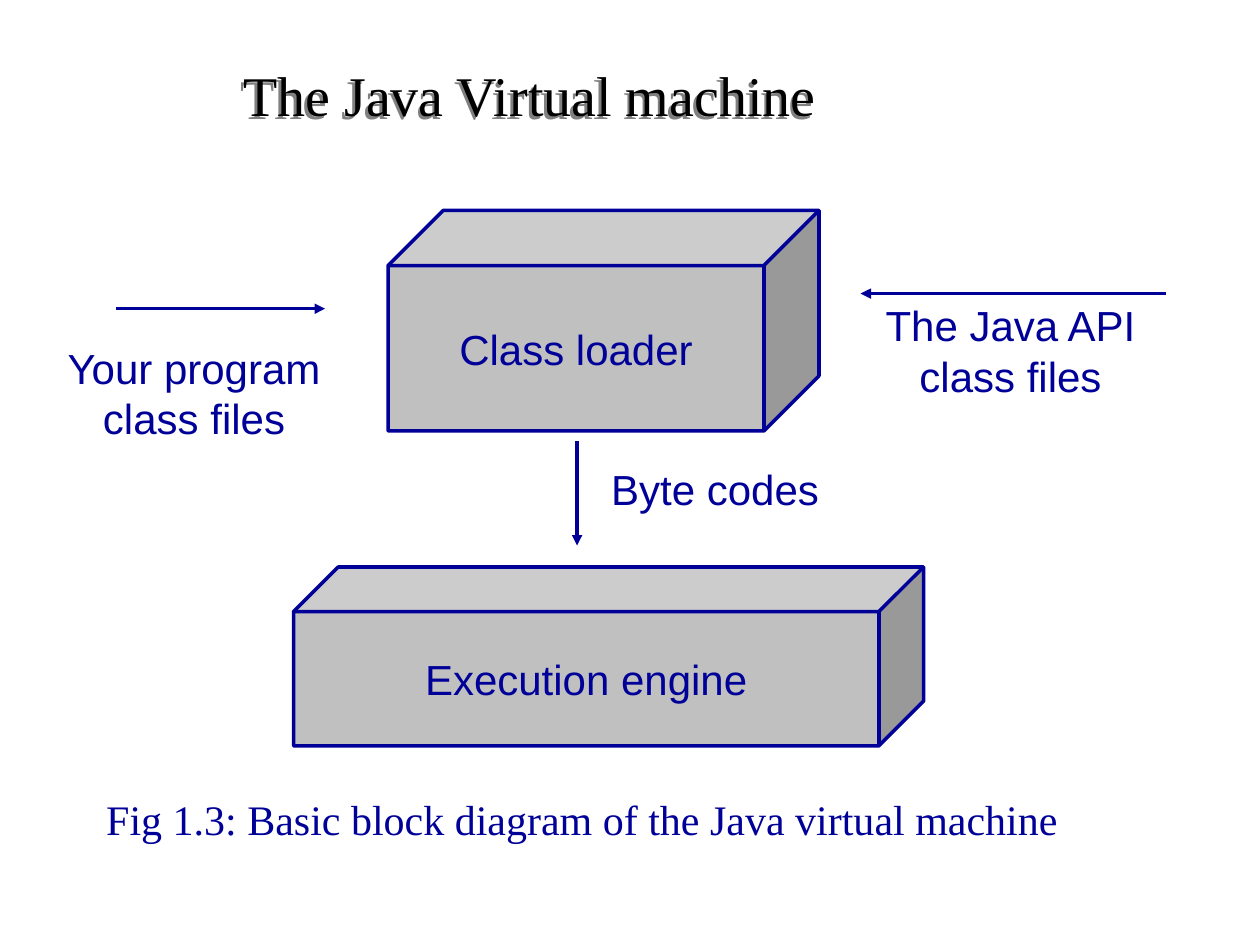
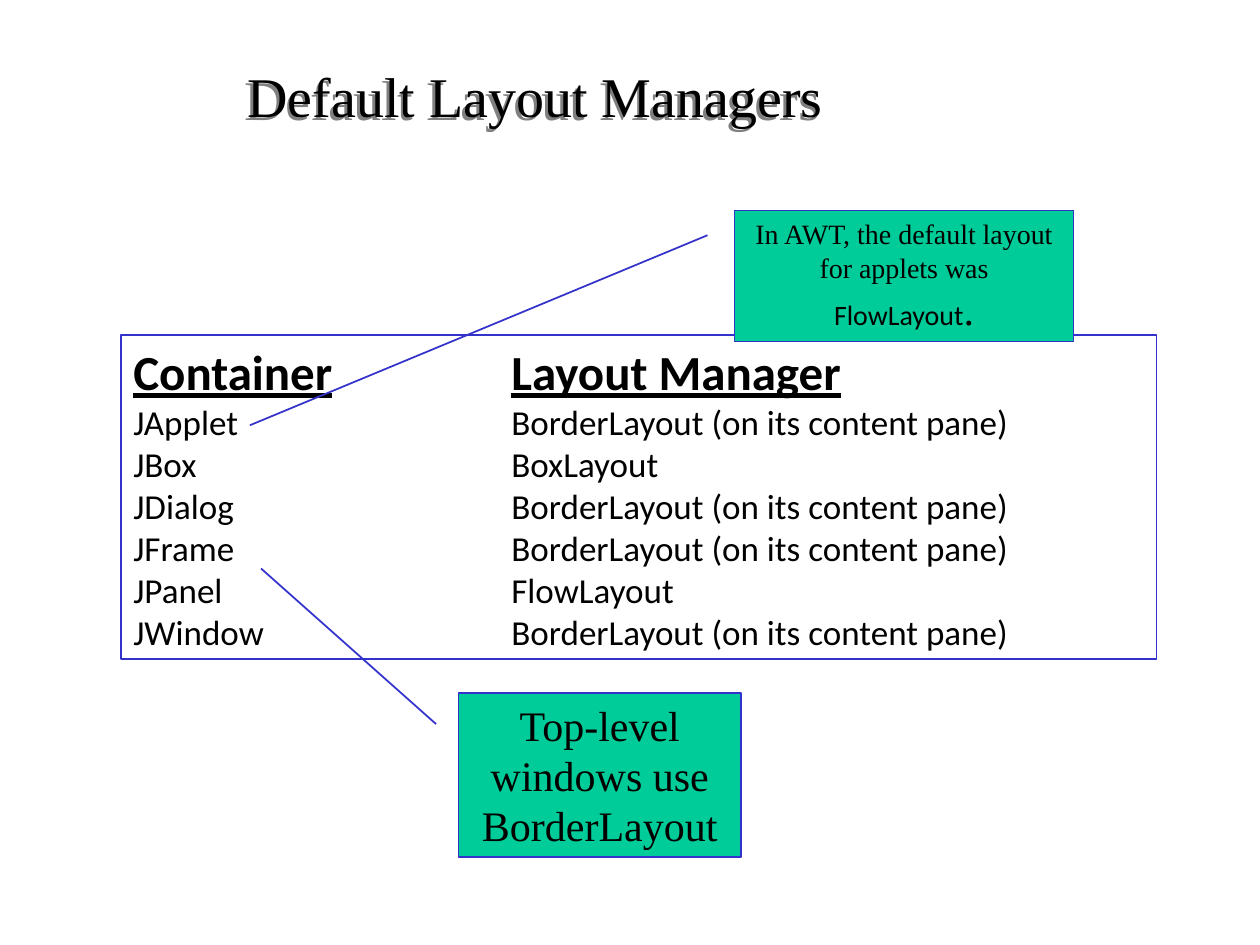
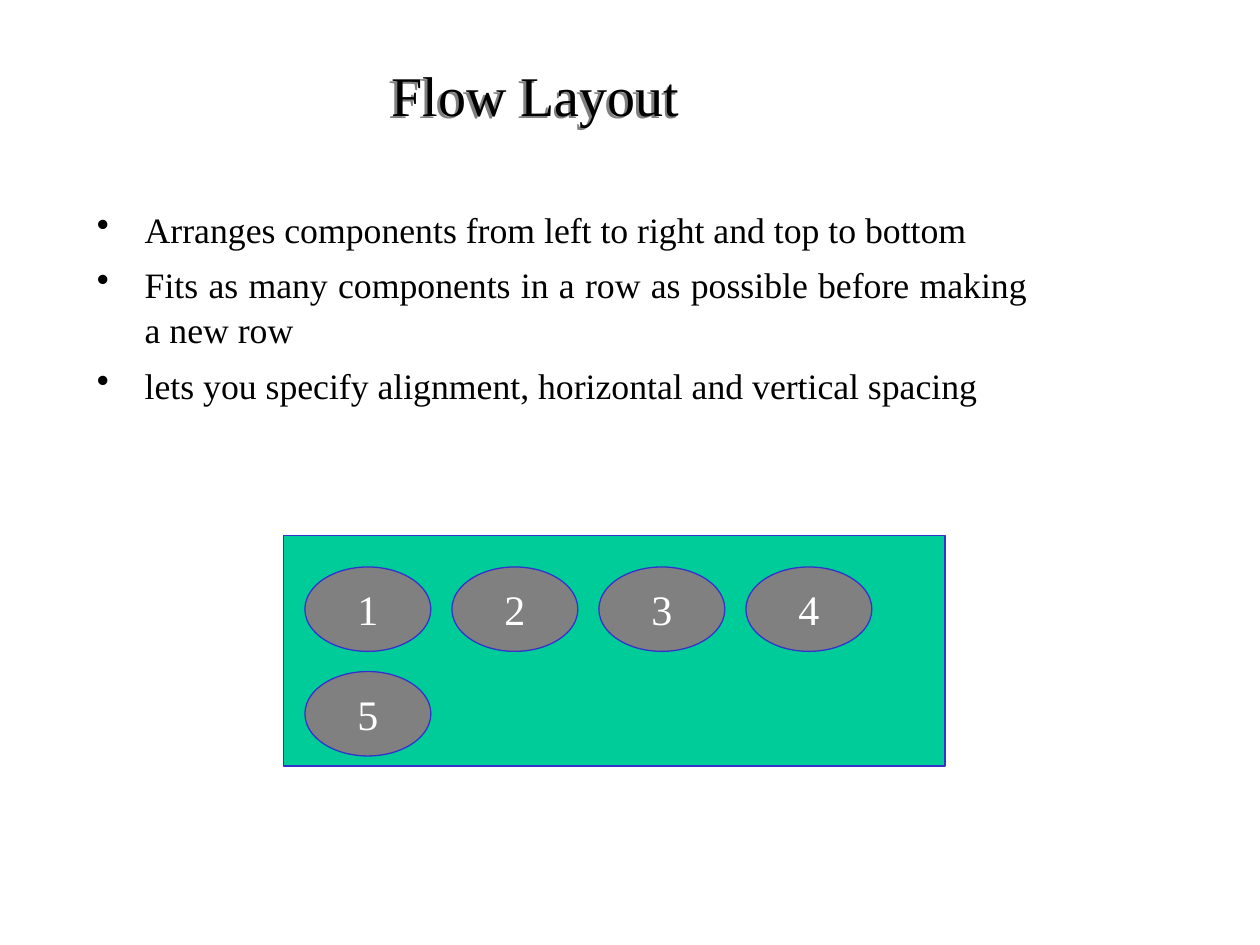
from dataclasses import dataclass

from lxml import etree
from pptx import Presentation
from pptx import util as u
from pptx.dml.color import RGBColor
from pptx.enum import shapes, text
from pptx.oxml.ns import qn

SERIF, SANS, BODY = "Times New Roman", "Arial", "Calibri"
BLACK, WHITE, NAVY, BLUE = "000000", "FFFFFF", "000099", "3333CC"
GREEN, SILVER, GRAY = "00CC99", "C0C0C0", "808080"
FORM = shapes.MSO_SHAPE
LEFT, MID, FULL = text.PP_ALIGN.LEFT, text.PP_ALIGN.CENTER, text.PP_ALIGN.JUSTIFY


@dataclass
class Box:
    left: float
    top: float
    width: float
    height: float

    def emu(self) -> list:
        return [u.Inches(n) for n in (self.left, self.top, self.width, self.height)]


@dataclass
class Block:
    label: str
    box: Box


@dataclass
class Arrow:
    x1: float
    y1: float
    x2: float
    y2: float


@dataclass
class Note:
    box: Box
    points: tuple


def tint(hue: str) -> RGBColor:
    return RGBColor.from_string(hue)


def child(node, tag: str, **attrs):
    return etree.SubElement(node, qn(tag), {k: str(v) for k, v in attrs.items()})


def say(frame, words: str, *, size=24, font=SERIF, hue=BLACK, bold=False,
        under=False, align=MID, more=False):
    para = frame.paragraphs[-1]
    if para.runs and not more:
        para = frame.add_paragraph()
    para.alignment = align
    run = para.add_run()
    run.text = words
    face = run.font
    face.size, face.name, face.bold, face.underline = u.Pt(size), font, bold, under
    face.color.rgb = tint(hue)
    return para


def shape(slide, form, box: Box, fill: str | None, line: str, width: float,
          anchor=text.MSO_ANCHOR.MIDDLE):
    item = slide.shapes.add_shape(form, *box.emu())
    item.shadow.inherit = False
    if fill:
        item.fill.solid()
        item.fill.fore_color.rgb = tint(fill)
    else:
        item.fill.background()
    item.line.color.rgb = tint(line)
    item.line.width = u.Pt(width)
    item.text_frame.word_wrap = True
    item.text_frame.vertical_anchor = anchor
    return item


def label(slide, box: Box, wrap=False):
    frame = slide.shapes.add_textbox(*box.emu()).text_frame
    frame.word_wrap = wrap
    return frame


def arrow(slide, spot: Arrow) -> None:
    ends = [u.Inches(n) for n in (spot.x1, spot.y1, spot.x2, spot.y2)]
    item = slide.shapes.add_connector(shapes.MSO_CONNECTOR.STRAIGHT, *ends)
    item.line.color.rgb = tint(NAVY)
    item.line.width = u.Pt(2)
    child(item.line._get_or_add_ln(), "a:tailEnd", type="triangle")
    child(item._element.spPr, "a:effectLst")


def start(deck, words: str, box: Box):
    slide = deck.slides.add_slide(deck.slide_layouts[5])
    title = slide.shapes.title
    title.left, title.top, title.width, title.height = box.emu()
    frame = title.text_frame
    frame.auto_size = text.MSO_AUTO_SIZE.NONE
    frame.vertical_anchor = text.MSO_ANCHOR.MIDDLE
    say(frame, words, size=32)
    glow = child(child(title._element.spPr, "a:effectLst"), "a:outerShdw",
                 dist=u.Inches(0.03), dir=135 * 60000, algn="ctr", rotWithShape=0)
    child(glow, "a:srgbClr", val=GRAY)
    return slide


def machine(deck) -> None:
    slide = start(deck, "The Java Virtual machine", Box(0.58, 0.25, 7.25, 1))
    for block in (Block("Class loader", Box(3.08, 1.67, 3.42, 1.75)),
                  Block("Execution engine", Box(2.33, 4.5, 5, 1.42))):
        cube = shape(slide, FORM.CUBE, block.box, SILVER, NAVY, 2)
        say(cube.text_frame, block.label, font=SANS, hue=NAVY)
    for spot in (Arrow(4.58, 3.5, 4.58, 4.33), Arrow(0.92, 2.45, 2.58, 2.45),
                 Arrow(9.25, 2.33, 6.83, 2.33)):
        arrow(slide, spot)
    for block in (Block("The Java API\nclass files", Box(6.92, 2.33, 2.2, 0.9)),
                  Block("Your program\nclass files", Box(0.42, 2.67, 2.24, 0.9)),
                  Block("Byte codes", Box(4.75, 3.63, 1.85, 0.5))):
        frame = label(slide, block.box)
        for row in block.label.split("\n"):
            say(frame, row, font=SANS, hue=NAVY)
    say(label(slide, Box(0.62, 6.25, 8, 0.5), wrap=True),
        "Fig 1.3: Basic block diagram of the Java virtual machine", hue=NAVY)


def callout(slide, note: Note):
    item = shape(slide, FORM.LINE_CALLOUT_1, note.box, GREEN, BLUE, 1,
                 text.MSO_ANCHOR.TOP)
    for i, value in enumerate(note.points):
        item.adjustments[i] = value
    return item.text_frame


def managers(deck) -> None:
    slide = start(deck, "Default Layout Managers", Box(0.5, 0.17, 7.5, 1.17))
    border = "BorderLayout (on its content pane)"
    rows = (("Container", "Layout Manager"), ("JApplet", border),
            ("JBox", "BoxLayout"), ("JDialog", border), ("JFrame", border),
            ("JPanel", "FlowLayout"), ("JWindow", border))
    panel = shape(slide, FORM.RECTANGLE, Box(0.96, 2.66, 8.22, 2.57), None, BLUE, 1,
                  text.MSO_ANCHOR.TOP)
    for i, row in enumerate(rows):
        head = i == 0
        para = say(panel.text_frame, "\t".join(row), size=28 if head else 20,
                   font=BODY, bold=head, under=head, align=LEFT)
        tabs = child(para._p.get_or_add_pPr(), "a:tabLst")
        child(tabs, "a:tab", pos=u.Inches(3), algn="l")
    frame = callout(slide, Note(Box(5.83, 1.67, 2.69, 1.04),
                                (0.19, -0.08, 1.64, -1.43)))
    say(frame, "In AWT, the default layout for applets was ", size=16)
    say(frame, "FlowLayout", size=16, font=BODY, more=True)
    say(frame, ".", more=True)
    frame = callout(slide, Note(Box(3.64, 5.5, 2.24, 1.3),
                                (0.19, -0.08, -0.76, -0.7)))
    say(frame, "Top-level windows use BorderLayout")


def flow(deck) -> None:
    slide = start(deck, "Flow Layout", Box(0.5, 0.24, 7.5, 1.01))
    frame = label(slide, Box(0.67, 1.58, 7.58, 1.7), wrap=True)
    for words in ("Arranges components from left to right and top to bottom",
                  "Fits as many components in a row as possible before making a new row",
                  "lets you specify alignment, horizontal and vertical spacing"):
        para = say(frame, words, size=20.4, align=FULL)
        para.line_spacing = 1.05
        para.space_before = u.Pt(6)
        props = para._p.get_or_add_pPr()
        props.set("marL", str(u.Inches(0.38)))
        props.set("indent", str(-u.Inches(0.38)))
        child(child(props, "a:buClr"), "a:srgbClr", val=BLACK)
        child(props, "a:buChar", char="•")
    shape(slide, FORM.RECTANGLE, Box(2.25, 4.25, 5.25, 1.83), GREEN, BLUE, 0.75)
    for i in range(5):
        row, col = divmod(i, 4)
        box = Box(2.42 + col * 3.5 / 3, 4.5 + row * 0.83, 1, 0.67)
        oval = shape(slide, FORM.OVAL, box, GRAY, BLUE, 0.75)
        say(oval.text_frame, str(i + 1), hue=WHITE)


def main() -> None:
    deck = Presentation()
    deck.slide_width, deck.slide_height = u.Inches(10), u.Inches(7.5)
    for build in (machine, managers, flow):
        build(deck)
    deck.save("out.pptx")


if __name__ == "__main__":
    main()
